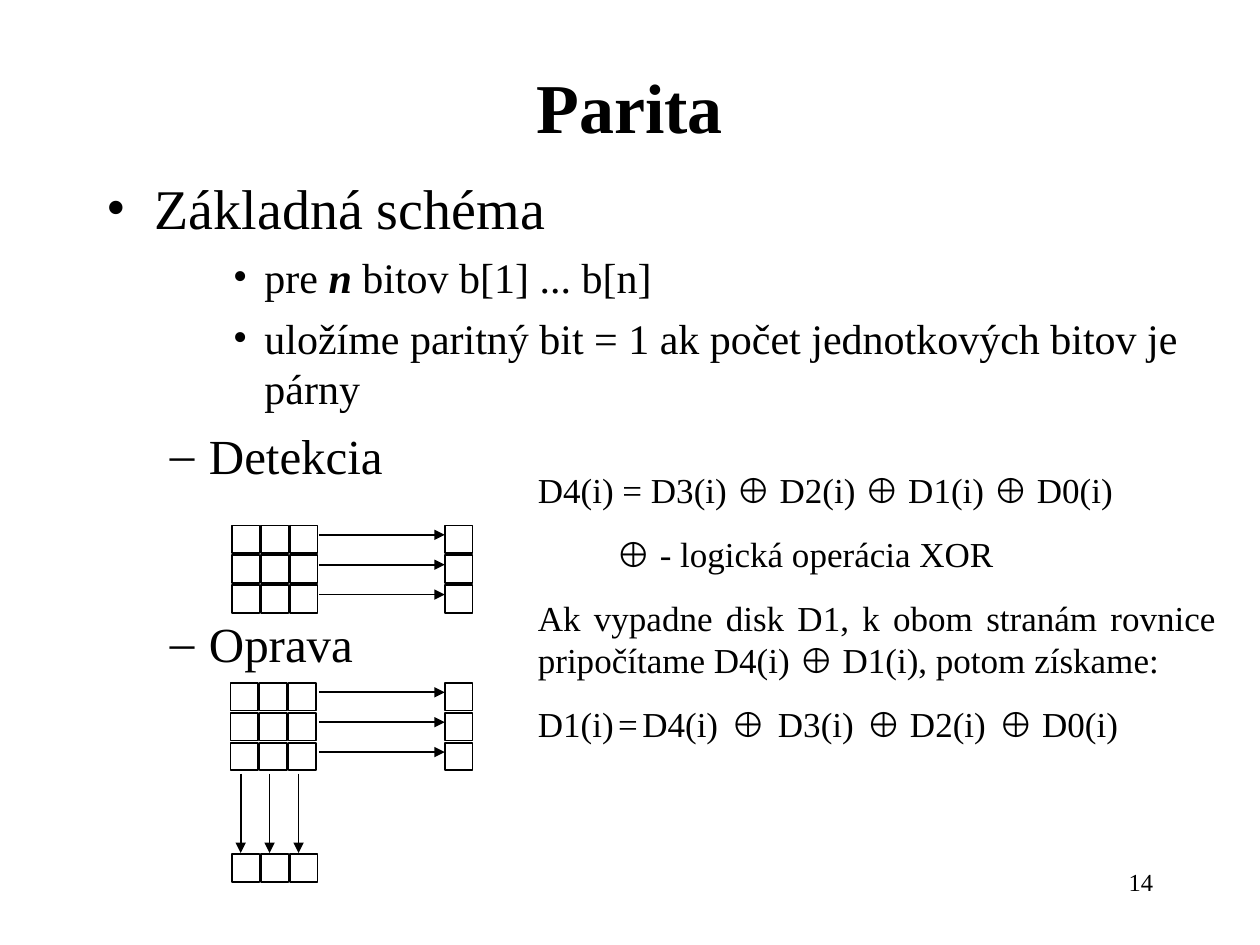
from itertools import groupby

from lxml.etree import SubElement
from pptx import Presentation
from pptx.dml.color import RGBColor
from pptx.enum.shapes import MSO_CONNECTOR as Connector, MSO_SHAPE as Shape
from pptx.enum.text import MSO_ANCHOR as Anchor, PP_ALIGN as Align
from pptx.oxml.ns import qn
from pptx.util import Inches, Pt

BLACK = "000000"
XOR = "⊕"


def color(hex_code):
    return RGBColor.from_string(hex_code)


def write(paragraph, text, size=20, bold=False, italic=False, spacing=0):
    """Add text to a paragraph, with the XOR sign in Arial."""
    for is_xor, letters in groupby(text, key=lambda letter: letter == XOR):
        run = paragraph.add_run()
        run.text = "".join(letters)
        font = run.font
        font.name = "Arial" if is_xor else "Times New Roman"
        font.size, font.bold, font.italic = Pt(size), bold, italic
        font.color.rgb = color(BLACK)
        if spacing:
            run.font._element.set("spc", str(round(spacing * 100)))


class ParitySlide:
    """Black line drawing and serif text on one slide."""

    cell = 0.22
    step_x, step_y = 0.23, 0.237

    def __init__(self, slide):
        self.shapes = slide.shapes

    def text_box(self, left, top, width, height, anchor=Anchor.TOP):
        frame = self.shapes.add_textbox(
            Inches(left), Inches(top), Inches(width), Inches(height)).text_frame
        frame.word_wrap = True
        frame.vertical_anchor = anchor
        return frame

    def paragraph(self, frame, pieces, align=Align.LEFT, before=0, bullet=None,
                  level=0, indent=(0, 0), size=20):
        """Fill the empty first paragraph or add one; pieces are (text, format)."""
        first = frame.paragraphs[0]
        paragraph = frame.add_paragraph() if first.runs else first
        paragraph.level = level
        properties = paragraph._p.get_or_add_pPr()
        margin, hanging = indent
        properties.set("marL", str(Inches(margin)))
        properties.set("indent", str(Inches(hanging)))
        if bullet:
            bullet_color = SubElement(properties, qn("a:buClr"))
            SubElement(bullet_color, qn("a:srgbClr"), val=BLACK)
            SubElement(properties, qn("a:buFont"), typeface="Times New Roman")
            SubElement(properties, qn("a:buChar"), char=bullet)
        paragraph.alignment = align
        paragraph.space_before = Pt(before)
        for text, style in pieces:
            write(paragraph, text, **{"size": size, **style})

    def cells(self, left, top, columns, rows):
        for column in range(columns):
            for row in range(rows):
                bit = self.shapes.add_shape(
                    Shape.RECTANGLE,
                    Inches(left + column * self.step_x),
                    Inches(top + row * self.step_y),
                    Inches(self.cell), Inches(self.cell))
                bit.shadow.inherit = False
                bit.fill.background()
                bit.line.color.rgb = color(BLACK)
                bit.line.width = Pt(1)

    def arrow(self, x1, y1, x2, y2):
        arrow = self.shapes.add_connector(
            Connector.STRAIGHT, Inches(x1), Inches(y1), Inches(x2), Inches(y2))
        arrow.line.color.rgb = color(BLACK)
        arrow.line.width = Pt(1)
        SubElement(arrow.line._get_or_add_ln(), qn("a:tailEnd"), type="triangle")
        SubElement(arrow._element.spPr, qn("a:effectLst"))

    def row_parity(self, left, top):
        """Draw a 3 by 3 block of bits with an arrow from each row to its parity bit."""
        self.cells(left, top, 3, 3)
        self.cells(3.53, top, 1, 3)
        for row in range(3):
            y = top + 0.075 + row * self.step_y
            self.arrow(2.53, y, 3.53, y)

    def column_parity(self, left, top):
        self.cells(left, top, 3, 1)
        for column in range(3):
            x = left + 0.07 + column * self.step_x
            self.arrow(x, 6.14, x, top - 0.01)


def main():
    presentation = Presentation()
    presentation.slide_width, presentation.slide_height = Inches(10), Inches(7.5)
    page = ParitySlide(presentation.slides.add_slide(presentation.slide_layouts[6]))

    number = page.text_box(7.17, 6.83, 2.08, 0.5)
    page.paragraph(number, [("14", {})], align=Align.RIGHT, size=14)

    title = page.text_box(0.75, 0.5, 8.5, 0.67, Anchor.MIDDLE)
    page.paragraph(title, [("Parita", {"bold": True})], align=Align.CENTER, size=40)

    scheme = page.text_box(0.75, 1.33, 8.92, 5.5)
    detail = dict(bullet="•", level=2, indent=(1.25, -0.25), before=6, size=24)
    use = dict(bullet="–", level=1, indent=(0.81, -0.31), size=28)
    page.paragraph(scheme, [("Základná schéma", {})],
                   bullet="•", indent=(0.38, -0.38), size=32)
    page.paragraph(scheme, [("pre ", {}), ("n", {"bold": True, "italic": True}),
                            (" bitov b[1] ... b[n]", {})], **detail)
    page.paragraph(scheme, [
        ("uložíme paritný bit = 1 ak počet jednotkových bitov je párny", {})], **detail)
    page.paragraph(scheme, [("Detekcia", {})], before=7, **use)
    page.paragraph(scheme, [("Oprava", {})], before=74, **use)

    page.row_parity(1.84, 4.17)
    page.row_parity(1.83, 5.42)
    page.column_parity(1.84, 6.78)

    equations = page.text_box(4.17, 3.67, 5.58, 2.29)
    thin = (" ", {"size": 10})
    wide = (" ", {"spacing": 2})
    recovery = [("D1(i)", {}), thin, ("=", {}), thin, ("D4(i)", {}), wide,
                (XOR, {}), wide, ("D3(i)", {}), wide, (f"{XOR} D2(i)", {}), wide,
                (f"{XOR} D0(i)", {})]
    lines = [
        ([("D4(i) = D3(i) ⊕ D2(i) ⊕ D1(i) ⊕ D0(i)", {})], 0, 0),
        ([("⊕ - logická operácia XOR", {})], 0.62, 12.5),
        ([("Ak vypadne disk D1, k obom stranám rovnice "
           "pripočítame D4(i) ⊕ D1(i), potom získame:", {})], 0, 12.5),
        (recovery, 0, 12.5),
    ]
    for pieces, margin, before in lines:
        page.paragraph(equations, pieces, align=Align.JUSTIFY,
                       indent=(margin, 0), before=before)

    presentation.save("out.pptx")


if __name__ == "__main__":
    main()
